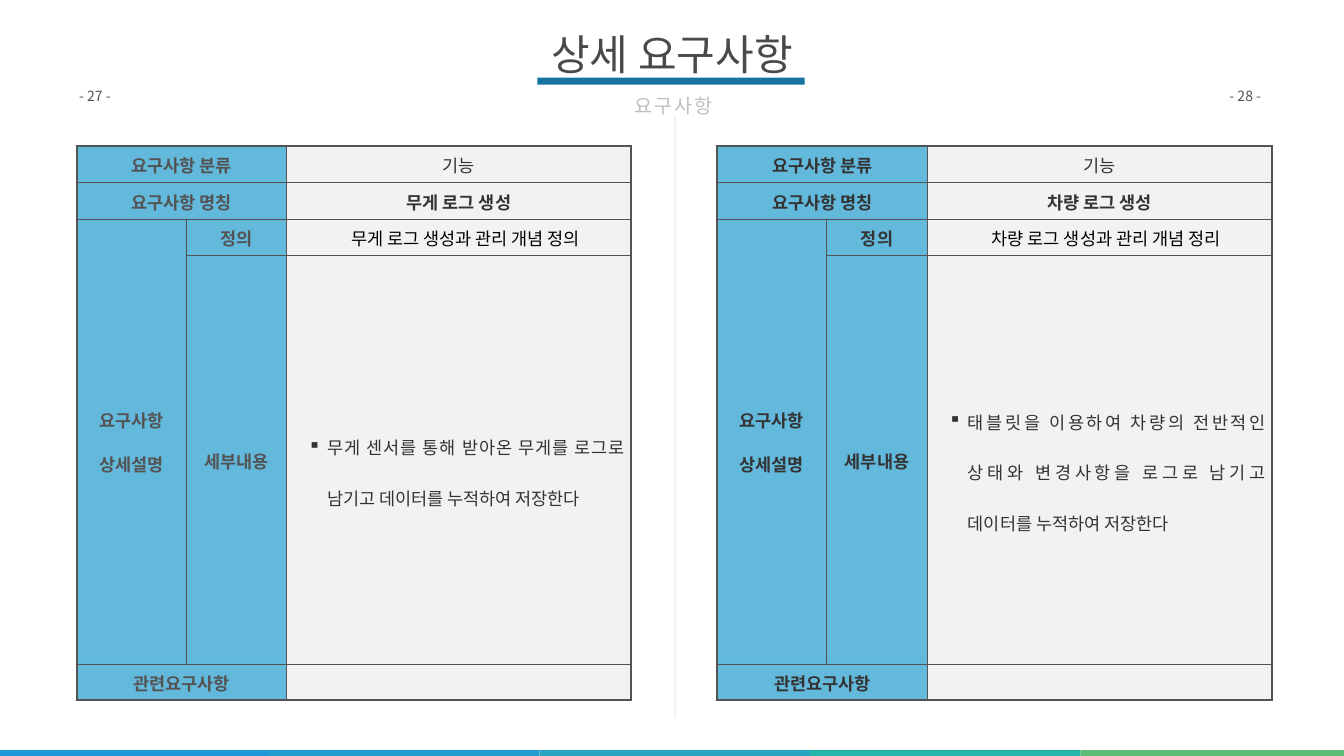
from lxml import etree
from pptx import Presentation
from pptx.dml.color import RGBColor
from pptx.enum.shapes import MSO_SHAPE
from pptx.enum.text import MSO_ANCHOR, PP_ALIGN
from pptx.oxml.ns import qn
from pptx.util import Cm, Pt

FONT = "Noto Sans CJK KR"
RECTANGLE = MSO_SHAPE.RECTANGLE
MIDDLE, TOP = MSO_ANCHOR.MIDDLE, MSO_ANCHOR.TOP
LEFT, CENTER, JUSTIFY = PP_ALIGN.LEFT, PP_ALIGN.CENTER, PP_ALIGN.JUSTIFY
GRAY, DARK, BLACK = "535353", "333333", "000000"
LABEL_FILL, VALUE_FILL = "229CCE", "F2F2F2"


def paint(color_holder, color):
    """Give a fill or a font a solid colour."""
    if hasattr(color_holder, "solid"):
        color_holder.solid()
        color_holder.fore_color.rgb = RGBColor.from_string(color)
    else:
        color_holder.color.rgb = RGBColor.from_string(color)


def write(frame, text, size, color, align, bold=False):
    """Put text into a frame and format every run."""
    frame.text = text
    for para in frame.paragraphs:
        para.alignment = align
        for span in para.runs:
            span.font.size = Pt(size)
            span.font.bold = bold
            span.font.name = FONT
            paint(span.font, color)
            etree.SubElement(span.font._element, qn("a:ea"), typeface=FONT)


deck = Presentation()
deck.slide_width, deck.slide_height = Cm(67.72), Cm(38.1)
page = deck.slides.add_slide(deck.slide_layouts[6])

# Plain bars: footer band, column divider, title underline
bars = [(-0.08 + 13.63 * i, 37.8, 13.63, 0.5, color) for i, color in
        enumerate(["1F98D8", "229CCE", "27A5C1", "24B6AB", "5BBD76"])]
divider_bar = (18.8, 20.96, 30.38, 0.13, VALUE_FILL)
bars += [divider_bar, (27.08, 3.91, 13.46, 0.36, "1772A2")]
for bar in bars:
    left, top, width, height, color = bar
    box = page.shapes.add_shape(RECTANGLE, Cm(left), Cm(top), Cm(width), Cm(height))
    box.shadow.inherit = False
    paint(box.fill, color)
    box.line.fill.background()
    if bar is divider_bar:
        box.rotation = 90
        paint(box.line.fill, "FFFFFF")
        box.line.width = Pt(1)

# Requirement tables
COLUMN_WIDTHS = [5.51, 5.08, 17.35]
ROW_HEIGHTS = [1.83, 1.83, 1.83, 20.6, 1.83]
VERTICAL_LINES = [3, 1, 2.25, 3]
HORIZONTAL_LINES = [3, 1, 1, 1, 1, 3]
MERGES = [(0, 0, 0, 1), (1, 0, 1, 1), (2, 0, 3, 0), (4, 0, 4, 1)]
LABELS = {(0, 0): "요구사항 분류", (1, 0): "요구사항 명칭",
          (2, 0): "요구사항\n상세설명", (2, 1): "정의",
          (3, 1): "세부내용", (4, 0): "관련요구사항"}
# row: (left margin, hanging indent)
INDENTS = {1: (0.48, -0.48), 2: (1.19, -0.53), 3: (2.01, -0.97)}
requirements = [
    (3.86, GRAY, ["기능", "무게 로그 생성", "무게 로그 생성과 관리 개념 정의",
                  "무게 센서를 통해 받아온 무게를 로그로 남기고 데이터를 누적하여 저장한다", ""]),
    (36.14, DARK, ["기능", "차량 로그 생성", "차량 로그 생성과 관리 개념 정리",
                   "태블릿을 이용하여 차량의 전반적인 상태와 변경사항을 로그로 남기고 "
                   "데이터를 누적하여 저장한다", ""]),
]
for left, label_color, values in requirements:
    table = page.shapes.add_table(5, 3, Cm(left), Cm(7.37), Cm(sum(COLUMN_WIDTHS)),
                                  Cm(sum(ROW_HEIGHTS))).table
    table.first_row = table.horz_banding = False
    for column, width in zip(table.columns, COLUMN_WIDTHS):
        column.width = Cm(width)
    for row, height in zip(table.rows, ROW_HEIGHTS):
        row.height = Cm(height)
    for top_row, first, bottom_row, last in MERGES:
        table.cell(top_row, first).merge(table.cell(bottom_row, last))

    for r in range(5):
        for c in range(3):
            cell = table.cell(r, c)
            is_label = c < 2
            cell.vertical_anchor = MIDDLE
            cell.margin_left = cell.margin_top = cell.margin_bottom = Cm(0.03)
            is_detail = (r, c) == (3, 2)
            cell.margin_right = Cm(0.3 if is_detail else 0.03)

            # Fill, with see-through labels
            paint(cell.fill, LABEL_FILL if is_label else VALUE_FILL)
            properties = cell._tc.get_or_add_tcPr()
            if is_label:
                shade = properties.find(".//" + qn("a:srgbClr"))
                etree.SubElement(shade, qn("a:alpha"), val="70000")

            # Borders, heavier around the outside
            right = c + (cell.span_width if cell.is_merge_origin else 1)
            bottom = r + (cell.span_height if cell.is_merge_origin else 1)
            edges = [("a:lnL", VERTICAL_LINES[c]), ("a:lnR", VERTICAL_LINES[right]),
                     ("a:lnT", HORIZONTAL_LINES[r]), ("a:lnB", HORIZONTAL_LINES[bottom])]
            for position, (tag, points) in enumerate(edges):
                edge = etree.Element(qn(tag), w=str(Pt(points)))
                edge_fill = etree.SubElement(edge, qn("a:solidFill"))
                etree.SubElement(edge_fill, qn("a:srgbClr"), val=GRAY)
                properties.insert(position, edge)

            # Text
            text = LABELS.get((r, c), "") if is_label else values[r]
            if not text:
                continue
            color = label_color if is_label else BLACK if r == 2 else DARK
            write(cell.text_frame, text, 25, color, JUSTIFY if is_detail else CENTER,
                  bold=is_label or r == 1)
            for para in cell.text_frame.paragraphs:
                para.line_spacing = 2.0 if is_detail else 1.07
                if not is_detail:
                    para.space_before = para.space_after = Pt(12)
                if not is_label and r in INDENTS:
                    margin, indent = INDENTS[r]
                    format_node = para._p.get_or_add_pPr()
                    format_node.set("marL", str(Cm(margin)))
                    format_node.set("indent", str(Cm(indent)))
                    if is_detail:
                        etree.SubElement(format_node, qn("a:buChar"), char="▪")

# Page numbers, title and subtitle
# left, top, width, height, side inset, end inset, anchor, text, size, colour, alignment
texts = [
    (3.86, 4.27, 2.39, 1.12, 0.13, 0.13, TOP, "- 27 -", 20, GRAY, LEFT),
    (61.82, 4.27, 2.29, 1.12, 0.13, 0.13, TOP, "- 28 -", 20, GRAY, LEFT),
    (26.75, 1.12, 14.22, 3.15, 0.3, 0.3, MIDDLE, "상세 요구사항", 60, "494949", CENTER),
    (31.32, 4.19, 5.21, 1.98, 0.61, 0.3, TOP, "요구사항", 28, "BFBFBF", CENTER),
]
for left, top, width, height, side, end, anchor, text, size, color, align in texts:
    box = page.shapes.add_textbox(Cm(left), Cm(top), Cm(width), Cm(height))
    frame = box.text_frame
    frame.word_wrap = text != "요구사항"
    frame.vertical_anchor = anchor
    frame.margin_left = frame.margin_right = Cm(side)
    frame.margin_top = frame.margin_bottom = Cm(end)
    write(frame, text, size, color, align)
    if text == "요구사항":
        para = frame.paragraphs[0]
        para.line_spacing = 1.2
        para.space_before = Pt(5.6)
        para.runs[0].font._element.set("spc", "300")

deck.save("out.pptx")
